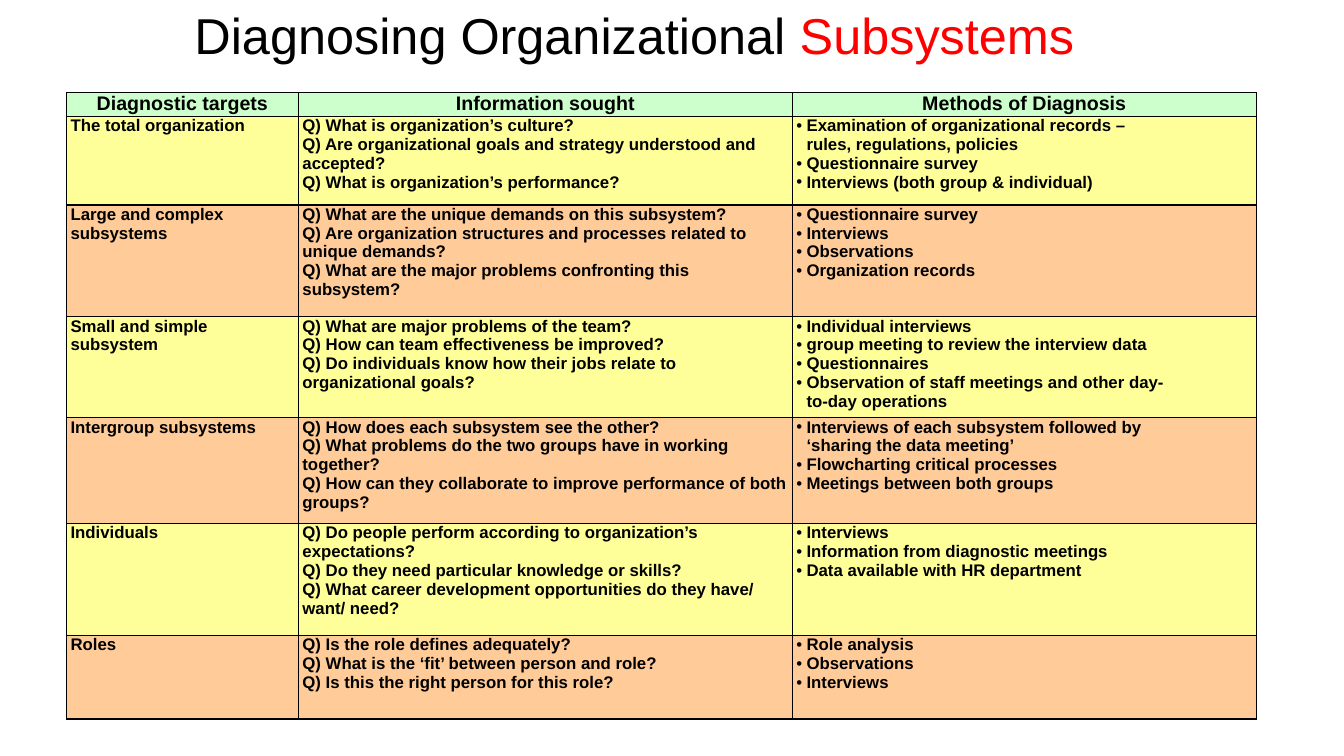
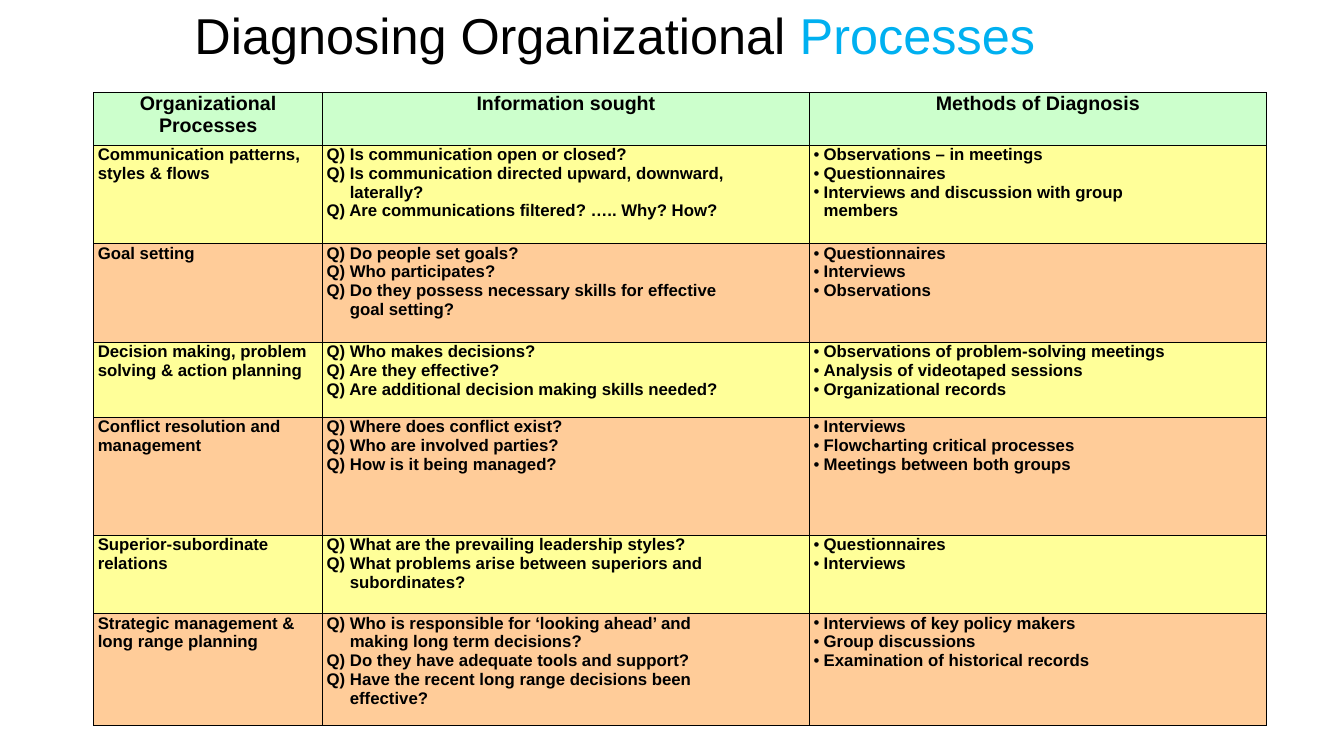
from lxml import etree
from pptx import Presentation
from pptx.dml.color import RGBColor
from pptx.enum.text import MSO_AUTO_SIZE, PP_ALIGN
from pptx.oxml import parse_xml
from pptx.oxml.ns import nsdecls, qn
from pptx.util import Inches, Pt

CENTER = PP_ALIGN.CENTER
LEFT = PP_ALIGN.LEFT
GROW = MSO_AUTO_SIZE.SHAPE_TO_FIT_TEXT

FONT = "Arial"
COLORS = {
    "ink": "000000", "red": "FF0000", "blue": "00B0F0",
    "head": "CCFFCC", "odd": "FFFF99", "even": "FFCC99",
}
BULLET = 0.1  # hanging indent of the methods

# Each row: target, questions, methods; "\v" is a line break
SLIDES = [
    {
        "word": "Subsystems", "color": "red", "width": 8.93,
        "left": 0.66, "hang": 0,
        "cols": [2.3, 4.9, 4.6],
        "heights": [0.23, 0.88, 1.11, 0.99, 1.05, 1.11, 0.83],
        "rows": [
            ("Diagnostic targets", ["Information sought"], ["Methods of Diagnosis"]),
            ("The total organization",
             ["Q) What is organization’s culture?",
              "Q) Are organizational goals and strategy understood and accepted?",
              "Q) What is organization’s performance?"],
             ["Examination of organizational records –\vrules, regulations, policies",
              "Questionnaire survey",
              "Interviews (both group & individual)"]),
            ("Large and complex subsystems",
             ["Q) What are the unique demands on this subsystem?",
              "Q) Are organization structures and processes related to unique demands?",
              "Q) What are the major problems confronting this subsystem?"],
             ["Questionnaire survey", "Interviews", "Observations",
              "Organization records"]),
            ("Small and simple subsystem",
             ["Q) What are major problems of the team?",
              "Q) How can team effectiveness be improved?",
              "Q) Do individuals know how their jobs relate to organizational goals?"],
             ["Individual interviews",
              "group meeting to review the interview data",
              "Questionnaires",
              "Observation of staff meetings and other day-\vto-day operations"]),
            ("Intergroup subsystems",
             ["Q) How does each subsystem see the other?",
              "Q) What problems do the two groups have in working together?",
              "Q) How can they collaborate to improve performance of both groups?"],
             ["Interviews of each subsystem followed by\v‘sharing the data meeting’",
              "Flowcharting critical processes",
              "Meetings between both groups"]),
            ("Individuals",
             ["Q) Do people perform according to organization’s expectations?",
              "Q) Do they need particular knowledge or skills?",
              "Q) What career development opportunities do they have/ want/ need?"],
             ["Interviews", "Information from diagnostic meetings",
              "Data available with HR department"]),
            ("Roles",
             ["Q) Is the role defines adequately?",
              "Q) What is the ‘fit’ between person and role?",
              "Q) Is this the right person for this role?"],
             ["Role analysis", "Observations", "Interviews"]),
        ],
    },
    {
        "word": "Processes", "color": "blue", "width": 8.62,
        "left": 0.93, "hang": 0.23,
        "cols": [2.27, 4.83, 4.53],
        "heights": [0.52, 0.98, 0.98, 0.74, 1.17, 0.78, 1.11],
        "rows": [
            ("Organizational Processes", ["Information sought"], ["Methods of Diagnosis"]),
            ("Communication patterns, styles & flows",
             ["Q) Is communication open or closed?",
              "Q) Is communication directed upward, downward,\vlaterally?",
              "Q) Are communications filtered? ….. Why? How?"],
             ["Observations – in meetings", "Questionnaires",
              "Interviews and discussion with group\vmembers"]),
            ("Goal setting",
             ["Q) Do people set goals?",
              "Q) Who participates?",
              "Q) Do they possess necessary skills for effective\vgoal setting?"],
             ["Questionnaires", "Interviews", "Observations"]),
            ("Decision making, problem solving & action planning",
             ["Q) Who makes decisions?",
              "Q) Are they effective?",
              "Q) Are additional decision making skills needed?"],
             ["Observations of problem-solving meetings",
              "Analysis of videotaped sessions",
              "Organizational records"]),
            ("Conflict resolution and management",
             ["Q) Where does conflict exist?",
              "Q) Who are involved parties?",
              "Q) How is it being managed?"],
             ["Interviews", "Flowcharting critical processes",
              "Meetings between both groups"]),
            ("Superior-subordinate relations",
             ["Q) What are the prevailing leadership styles?",
              "Q) What problems arise between superiors and\vsubordinates?"],
             ["Questionnaires", "Interviews"]),
            ("Strategic management & long range planning",
             ["Q) Who is responsible for ‘looking ahead’ and\vmaking long term decisions?",
              "Q) Do they have adequate tools and support?",
              "Q) Have the recent long range decisions been\veffective?"],
             ["Interviews of key policy makers", "Group discussions",
              "Examination of historical records"]),
        ],
    },
]


def frame(cell, fill):
    """Give a cell its insets, black borders and fill."""
    cell.margin_left = cell.margin_right = Inches(0.04)
    cell.margin_top = cell.margin_bottom = 0
    props = cell._tc.get_or_add_tcPr()
    for side in ("lnL", "lnR", "lnT", "lnB"):
        props.append(parse_xml(
            f'<a:{side} {nsdecls("a")} w="{Pt(1)}"><a:solidFill>'
            f'<a:srgbClr val="{COLORS["ink"]}"/></a:solidFill></a:{side}>'))
    cell.fill.solid()
    cell.fill.fore_color.rgb = RGBColor.from_string(COLORS[fill])


def write(cell, lines, head, hang, bullet):
    """Write one paragraph per line, with a hanging indent."""
    text = cell.text_frame
    for i, line in enumerate(lines):
        para = text.add_paragraph() if i else text.paragraphs[0]
        para.text = line
        para.alignment = CENTER if head else LEFT
        props = para._p.get_or_add_pPr()
        if hang:
            props.set("marL", str(Inches(hang)))
            props.set("indent", str(-Inches(hang)))
        if bullet:
            etree.SubElement(props, qn("a:buFont")).set("typeface", FONT)
            etree.SubElement(props, qn("a:buChar")).set("char", "•")
        font = para.font
        font.name, font.bold = FONT, True
        font.size = Pt(14 if head else 12)
        font.color.rgb = RGBColor.from_string(COLORS["ink"])


deck = Presentation()
deck.slide_width, deck.slide_height = Inches(13.33), Inches(7.5)
blank = deck.slide_layouts[6]

for data in SLIDES:
    slide = deck.slides.add_slide(blank)

    # Title with its last word in colour
    box = slide.shapes.add_textbox(
        Inches(1.83), Inches(-0.01), Inches(data["width"]), Inches(1.01))
    box.text_frame.word_wrap = False
    box.text_frame.auto_size = GROW
    title = box.text_frame.paragraphs[0]
    title.font.name, title.font.size = FONT, Pt(36)
    for words, color in (("Diagnosing Organizational ", "ink"),
                         (data["word"], data["color"])):
        run = title.add_run()
        run.text = words
        run.font.color.rgb = RGBColor.from_string(COLORS[color])

    # Table grid
    rows, cols, heights = data["rows"], data["cols"], data["heights"]
    table = slide.shapes.add_table(
        len(rows), len(cols), Inches(data["left"]), Inches(0.92),
        Inches(sum(cols)), Inches(sum(heights))).table
    table.first_row = table.horz_banding = False
    for col, width in zip(table.columns, cols):
        col.width = Inches(width)
    for row, height in zip(table.rows, heights):
        row.height = Inches(height)

    # Cells: green header, then alternating bands
    for r, (target, asks, methods) in enumerate(rows):
        head = r == 0
        fill = "head" if head else "odd" if r % 2 else "even"
        hangs = (0, 0, 0) if head else (0, data["hang"], BULLET)
        for c, lines in enumerate(([target], asks, methods)):
            cell = table.cell(r, c)
            frame(cell, fill)
            write(cell, lines, head, hangs[c], c == 2 and not head)

deck.save("out.pptx")
